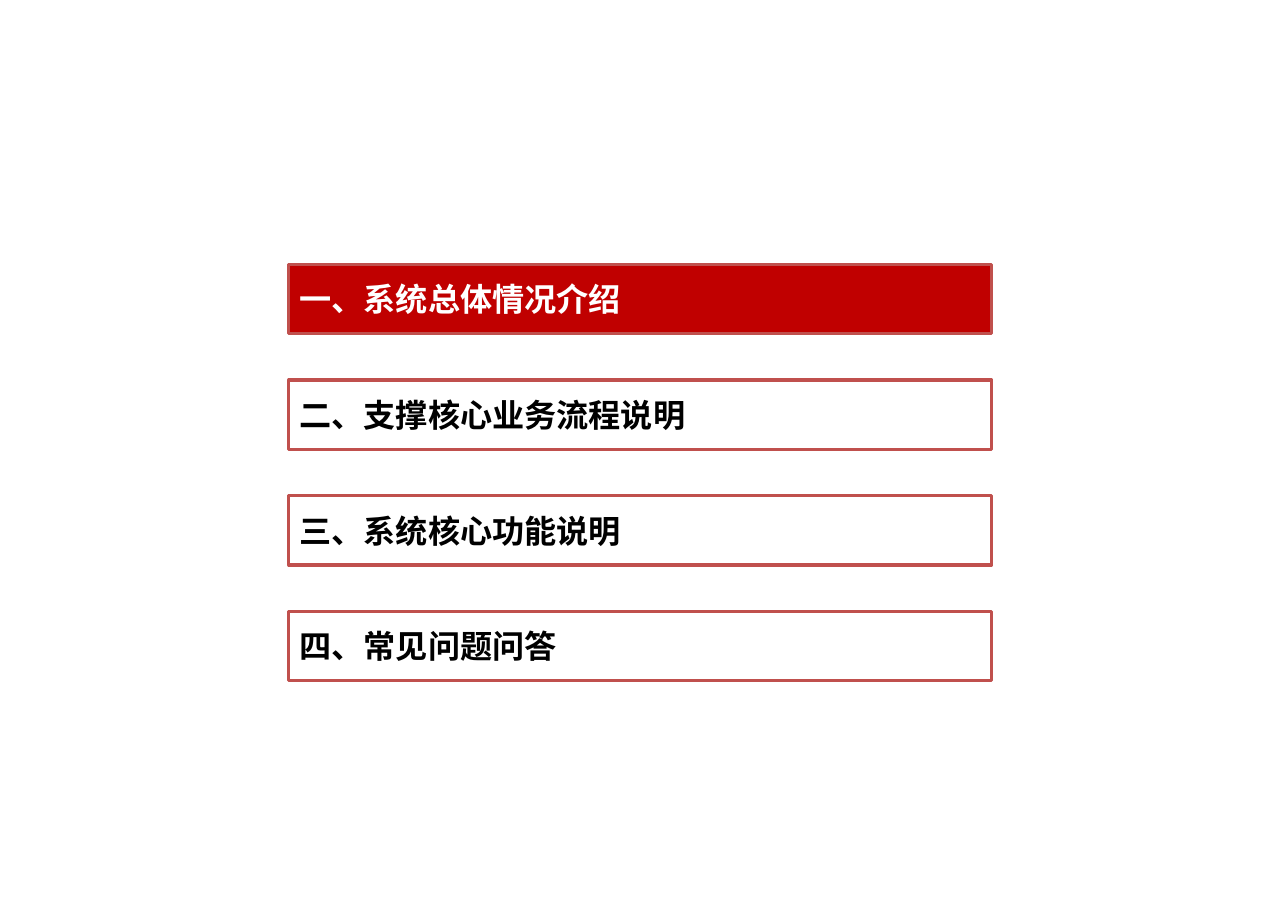
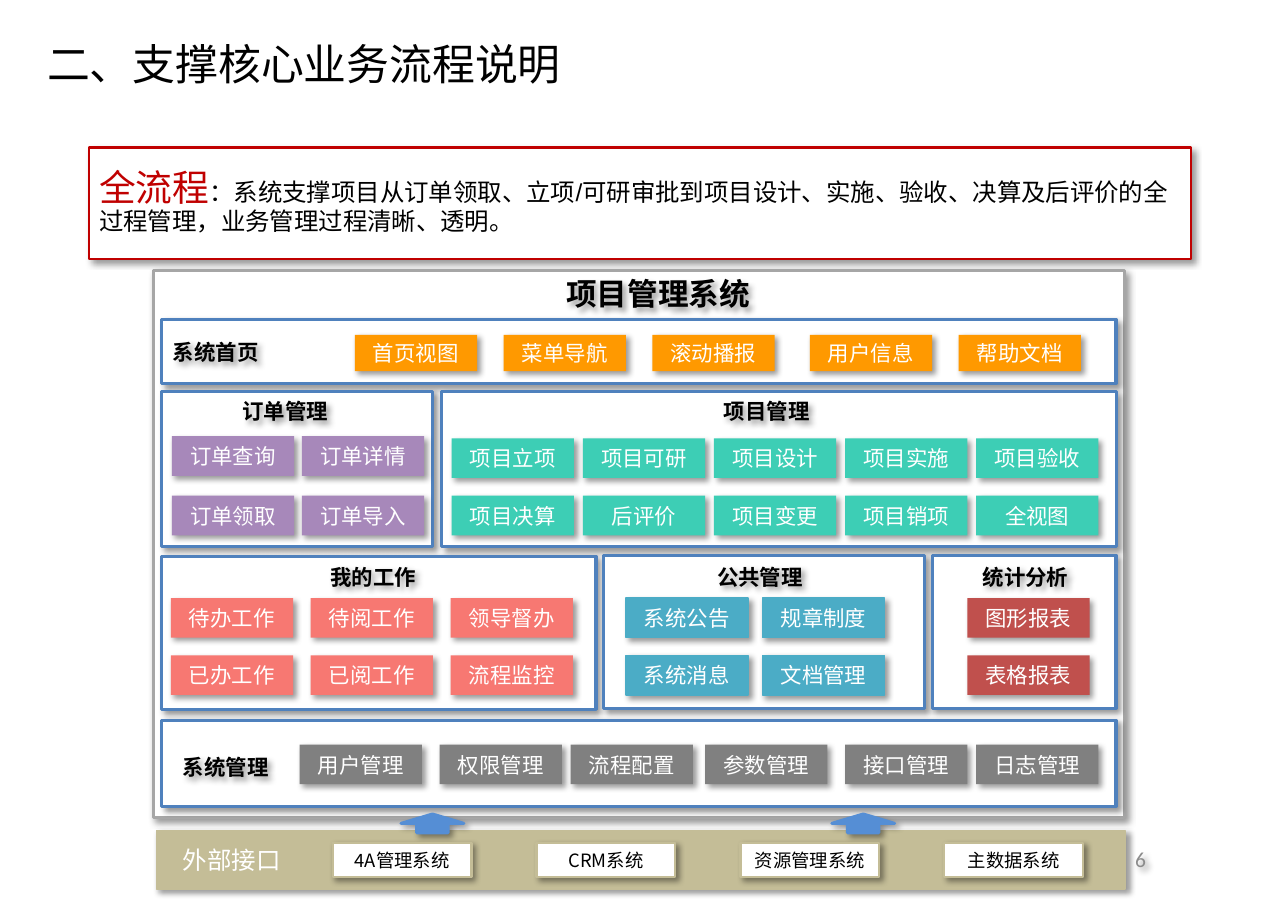
import pptx
import pptx.util
from pptx.dml.color import RGBColor
from pptx.enum.shapes import MSO_SHAPE
from pptx.enum.text import MSO_ANCHOR, PP_ALIGN
from pptx.oxml import parse_xml
from pptx.oxml.ns import nsdecls, qn

PX = 9144  # EMU per px, 100 px to the inch
SLIDE_SIZE = (1169, 827)
FONT = "Noto Sans CJK SC"

BLACK = RGBColor(0x00, 0x00, 0x00)
WHITE = RGBColor(0xFF, 0xFF, 0xFF)
DARK_RED = RGBColor(0xC0, 0x00, 0x00)
BRICK = RGBColor(0xC0, 0x50, 0x4D)
BLUE = RGBColor(0x4F, 0x81, 0xBD)
ARROW_BLUE = RGBColor(0x55, 0x8E, 0xD5)
ORANGE = RGBColor(0xFF, 0x99, 0x00)
PURPLE = RGBColor(0xA7, 0x88, 0xBA)
GREEN = RGBColor(0x3D, 0xCE, 0xB5)
CORAL = RGBColor(0xF7, 0x78, 0x72)
TEAL = RGBColor(0x4B, 0xAC, 0xC6)
GRAY = RGBColor(0x80, 0x80, 0x80)
FRAME_GRAY = RGBColor(0xA6, 0xA6, 0xA6)
NUMBER_GRAY = RGBColor(0x8C, 0x8C, 0x8C)
SAND = RGBColor(0xC4, 0xBD, 0x97)

AGENDA = ["一、系统总体情况介绍", "二、支撑核心业务流程说明", "三、系统核心功能说明", "四、常见问题问答"]
CURRENT = 0

# text, size, colour, Latin font
INTRO = [
    ("全流程", 24, DARK_RED, FONT),
    ("：", 16, BLACK, FONT),
    ("系统支撑项目从订单领取、立项/可研审批到项目设计、实施、验收、决算及后评价的"
     "全过程管理，业务管理过程清晰、透明", 16, BLACK, "Arial"),
    ("。", 16, BLACK, FONT),
]

# panel box, heading, heading position, module colour, module height, lefts, tops, modules row by row
PANELS = [
    ((147, 290, 866, 58), "系统首页", (147, 304), ORANGE, 33, (322, 457, 592, 735, 870), (304,),
     ["首页视图", "菜单导航", "滚动播报", "用户信息", "帮助文档"]),
    ((147, 355, 246, 141), "订单管理", (210, 358), PURPLE, 36, (156, 274), (396, 450),
     ["订单查询", "订单详情", "订单领取", "订单导入"]),
    ((401, 355, 612, 141), "项目管理", (647, 358), GREEN, 36, range(410, 887, 119), (398, 450),
     ["项目立项", "项目可研", "项目设计", "项目实施", "项目验收",
      "项目决算", "后评价", "项目变更", "项目销项", "全视图"]),
    ((147, 505, 394, 139), "我的工作", (290, 508), CORAL, 36, range(155, 410, 127), (543, 595),
     ["待办工作", "待阅工作", "领导督办", "已办工作", "已阅工作", "流程监控"]),
    ((548, 504, 291, 139), "公共管理", (641, 508), TEAL, 36, (568, 692), (543, 595),
     ["系统公告", "规章制度", "系统消息", "文档管理"]),
    ((846, 504, 167, 139), "统计分析", (882, 508), BRICK, 36, (878,), (543, 595),
     ["图形报表", "表格报表"]),
    ((147, 654, 866, 78), "系统管理", (156, 681), GRAY, 36, (272, 399, 518, 640, 767, 886), (676,),
     ["用户管理", "权限管理", "流程配置", "参数管理", "接口管理", "日志管理"]),
]
MODULE_WIDTH = 111
EXTERNAL_SYSTEMS = ["4A管理系统", "CRM系统", "资源管理系统", "主数据系统"]
ARROW_LEFTS = (364, 755)


def emu(lengths):
    return [length * PX for length in lengths]


def add_shadow(shape):
    shape.shadow.inherit = False
    shape._element.spPr.find(qn("a:effectLst")).append(parse_xml(
        f'<a:outerShdw {nsdecls("a")} blurRad="50800" dist="38100" dir="2700000" algn="tl" rotWithShape="0">'
        '<a:srgbClr val="000000"><a:alpha val="40000"/></a:srgbClr></a:outerShdw>'))


def style_font(font, size, color, bold=False, latin=FONT):
    font.size = pptx.util.Pt(size)
    font.bold = bold
    font.color.rgb = color
    font.name = latin


def set_east_asian_font(paragraph):
    for properties in paragraph._p.iter(qn("a:defRPr"), qn("a:rPr")):
        properties.find(qn("a:latin")).addnext(
            parse_xml(f'<a:ea {nsdecls("a")} typeface="{FONT}"/>'))


def write(shape, text, size, color, bold=False, align=PP_ALIGN.LEFT, wrap=True, inset=10, latin=FONT):
    """Put one vertically centred line of text into a shape."""
    frame = shape.text_frame
    frame.word_wrap = wrap
    frame.vertical_anchor = MSO_ANCHOR.MIDDLE
    frame.margin_left = frame.margin_right = inset * PX
    frame.margin_top = frame.margin_bottom = 0
    paragraph = frame.paragraphs[0]
    paragraph.text = text
    paragraph.alignment = align
    style_font(paragraph.font, size, color, bold, latin)
    set_east_asian_font(paragraph)


def add_box(slide, box, fill=None, line=None, width=2, shadow=True, kind=MSO_SHAPE.RECTANGLE):
    shape = slide.shapes.add_shape(kind, *emu(box))
    shape.shadow.inherit = False
    if shadow:
        add_shadow(shape)
    if fill is None:
        shape.fill.background()
    else:
        shape.fill.solid()
        shape.fill.fore_color.rgb = fill
    if line is None:
        shape.line.fill.background()
    else:
        shape.line.color.rgb = line
        shape.line.width = pptx.util.Pt(width)
    return shape


def add_label(slide, box, text, size, shadow=True, color=BLACK, **style):
    label = slide.shapes.add_textbox(*emu(box))
    if shadow:
        add_shadow(label)
    write(label, text, size, color, **style)


def build_agenda(slide):
    for index, item in enumerate(AGENDA):
        current = index == CURRENT
        bar = add_box(slide, (262, 240 + 105 * index, 638, 63),
                      DARK_RED if current else None, BRICK, shadow=False)
        write(bar, item, 21, WHITE if current else BLACK, bold=True)


def add_intro(slide):
    intro = add_box(slide, (81, 134, 1000, 101), WHITE, DARK_RED, 1.5)
    frame = intro.text_frame
    frame.word_wrap = True
    frame.vertical_anchor = MSO_ANCHOR.MIDDLE
    frame.margin_left = frame.margin_right = 9 * PX
    frame.margin_top = frame.margin_bottom = 4 * PX
    paragraph = frame.paragraphs[0]
    paragraph.alignment = PP_ALIGN.LEFT
    paragraph.line_spacing = 0.9
    paragraph.space_before = pptx.util.Pt(3)
    for text, size, color, latin in INTRO:
        run = paragraph.add_run()
        run.text = text
        style_font(run.font, size, color, latin=latin)
    set_east_asian_font(paragraph)


def add_panel(slide, box, heading, heading_at, color, height, lefts, tops, modules):
    add_box(slide, box, WHITE, BLUE)
    places = [(left, top) for top in tops for left in lefts]
    for place, module in zip(places, modules):
        chip = add_box(slide, (*place, MODULE_WIDTH, height), color,
                       TEAL if color == TEAL else None, 1)
        write(chip, module, 14, WHITE, align=PP_ALIGN.CENTER)
    add_label(slide, (*heading_at, 100, 31), heading, 14, bold=True, wrap=False)


def add_external_interfaces(slide):
    band = add_box(slide, (142, 754, 879, 53), SAND, SAND, 1)
    write(band, "外部接口", 16, WHITE, inset=24)
    for left in ARROW_LEFTS:
        add_box(slide, (left, 739, 57, 17), ARROW_BLUE, ARROW_BLUE, kind=MSO_SHAPE.UP_ARROW)
    for index, system in enumerate(EXTERNAL_SYSTEMS):
        box = add_box(slide, (302 + 185 * index, 765, 126, 31), WHITE, SAND, 1.5)
        write(box, system, 12, BLACK, align=PP_ALIGN.CENTER, wrap=False)


def build_process(slide):
    add_label(slide, (33, 30, 819, 56), AGENDA[1], 28, shadow=False)
    add_intro(slide)
    add_label(slide, (1004, 760, 46, 40), "6", 14, color=NUMBER_GRAY,
              align=PP_ALIGN.RIGHT, latin="Calibri")
    add_box(slide, (139, 246, 882, 496), WHITE, FRAME_GRAY)
    for panel in PANELS:
        add_panel(slide, *panel)
    add_label(slide, (504, 246, 190, 41), "项目管理系统", 20, bold=True, wrap=False)
    add_external_interfaces(slide)


def main():
    presentation = pptx.Presentation()
    presentation.slide_width, presentation.slide_height = emu(SLIDE_SIZE)
    for build in (build_agenda, build_process):
        build(presentation.slides.add_slide(presentation.slide_layouts[6]))
    presentation.save("out.pptx")


if __name__ == "__main__":
    main()
